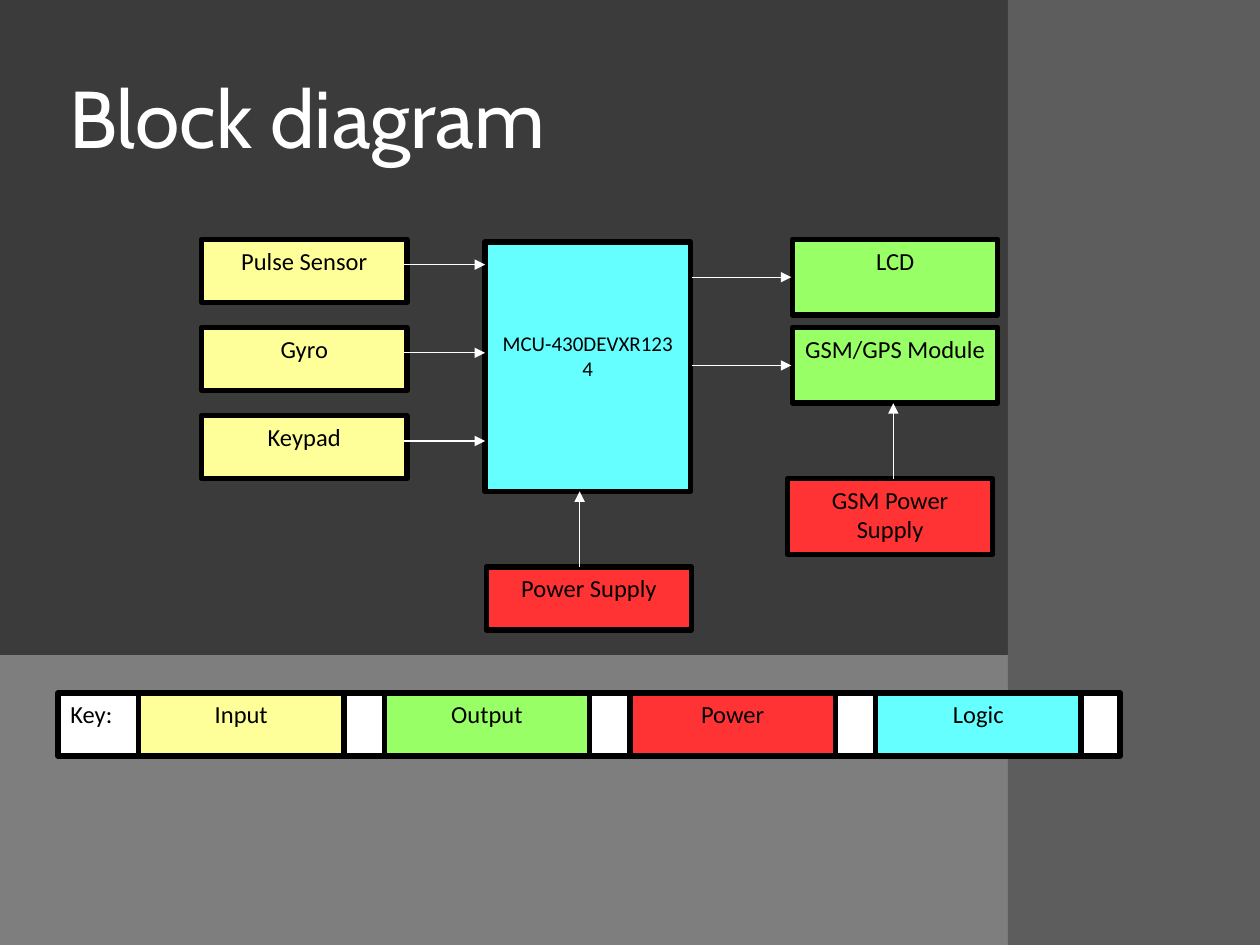
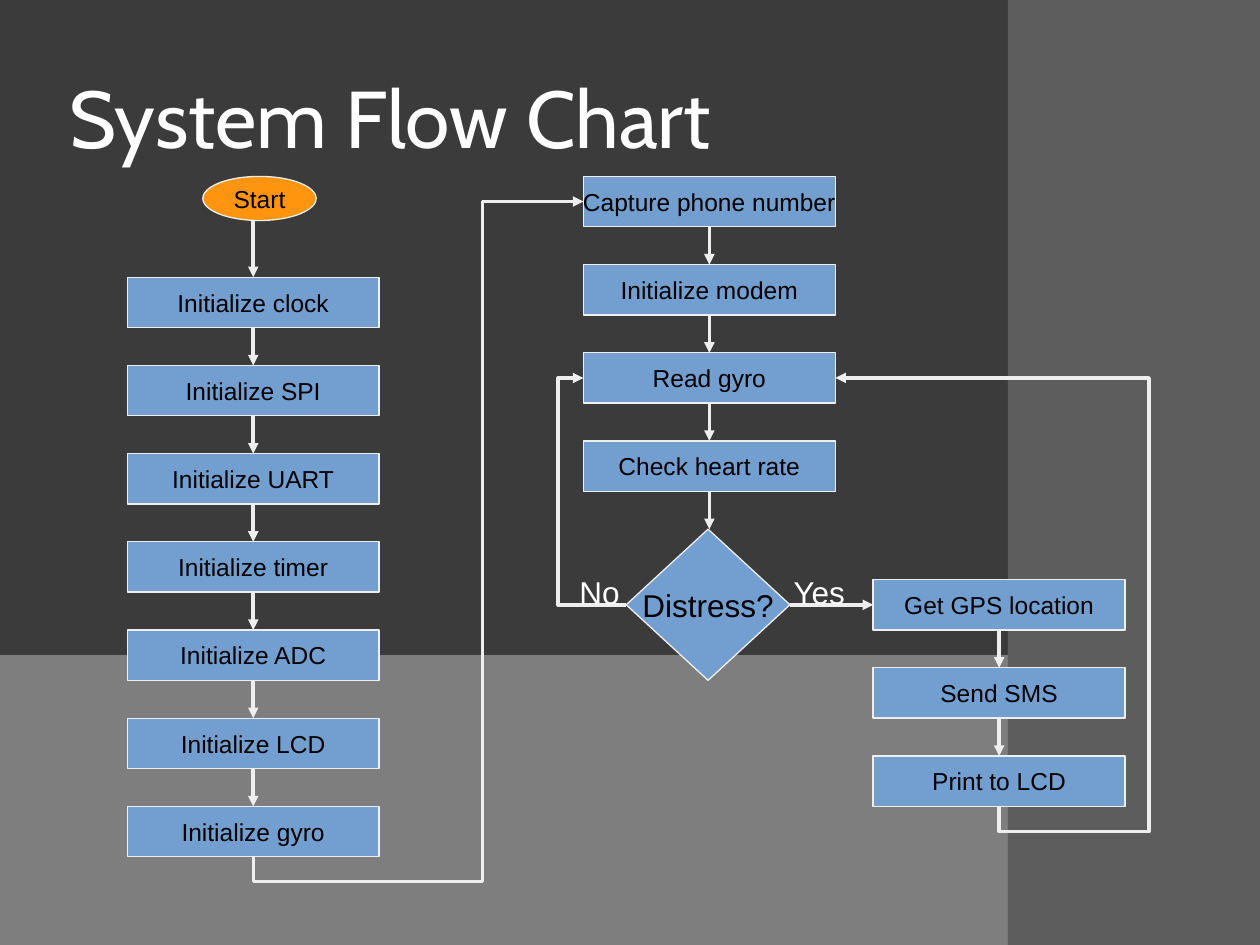
"""Build a block diagram slide and a system flow chart slide."""
from math import cos, radians, sin

from lxml import etree
from pptx import Presentation
from pptx.dml.color import RGBColor
from pptx.enum.shapes import MSO_CONNECTOR, MSO_SHAPE
from pptx.enum.text import MSO_ANCHOR, MSO_AUTO_SIZE, PP_ALIGN
from pptx.oxml.ns import qn
from pptx.util import Inches, Pt

RECT, OVAL, DIAMOND = MSO_SHAPE.RECTANGLE, MSO_SHAPE.OVAL, MSO_SHAPE.DIAMOND
STRAIGHT, ELBOW = MSO_CONNECTOR.STRAIGHT, MSO_CONNECTOR.ELBOW
TOP, MIDDLE = MSO_ANCHOR.TOP, MSO_ANCHOR.MIDDLE
LEFT, CENTER = PP_ALIGN.LEFT, PP_ALIGN.CENTER
NO_FIT, GROW = MSO_AUTO_SIZE.NONE, MSO_AUTO_SIZE.SHAPE_TO_FIT_TEXT

WIDTH, HEIGHT = 10, 7.5
BLACK, WHITE, PALE = "000000", "FFFFFF", "EEEEEE"
BACKGROUND = "3B3B3B"
BANDS = [((0, 5.2, WIDTH, 2.3), "7E7E7E"), ((8, 0, 2, HEIGHT), "5D5D5D")]
TITLE_BOX = (0.5, 0.3, 8.17, 1.25)
INPUT, OUTPUT, POWER, LOGIC = "FFFF99", "99FF66", "FF3333", "66FFFF"
STEP, START = "729FCF", "FF950E"

BLOCK_W, ROW = 1.63, 0.7
BLOCKS = [
    ("Pulse Sensor", 1.6, 1.9, 0.5, INPUT),
    ("Gyro", 1.6, 1.9 + ROW, 0.5, INPUT),
    ("Keypad", 1.6, 1.9 + 2 * ROW, 0.5, INPUT),
    ("LCD", 6.29, 1.9, 0.6, OUTPUT),
    ("GSM/GPS Module", 6.29, 1.9 + ROW, 0.6, OUTPUT),
    ("Power Supply", 3.86, 4.5, 0.5, POWER),
    ("GSM Power Supply", 6.25, 3.8, 0.6, POWER),
]
CONTROLLER = ("MCU-430DEVXR1234", (3.85, 1.92, BLOCK_W, 1.98))
BLOCK_ARROWS = (
    [((3.2, 2.1 + i * ROW), (3.85, 2.1 + i * ROW)) for i in range(3)]
    + [((5.49, 2.2 + i * ROW), (6.28, 2.2 + i * ROW)) for i in range(2)]
    + [((4.6, 4.5), (4.6, 3.9)), ((7.09, 3.8), (7.09, 3.2))]
)
KEY_BOX = (0.46, 5.5, 8.43, 0.5)
KEY_LEFT, KEY_PITCH = 1.1, 1.95
KEY = [("Input", INPUT), ("Output", OUTPUT), ("Power", POWER), ("Logic", LOGIC)]

STEP_W, STEP_H = 2, 0.4
CHAINS = [
    (1.01, 2.2, ["Initialize clock", "Initialize SPI", "Initialize UART",
                 "Initialize timer", "Initialize ADC", "Initialize LCD",
                 "Initialize gyro"]),
    (4.63, 1.4, ["Capture phone number", "Initialize modem", "Read gyro",
                 "Check heart rate"]),
    (6.93, 4.6, ["Get GPS location", "Send SMS", "Print to LCD"]),
]
START_BOX = (1.61, 1.4, 0.9, 0.35)
DECISION_BOX = (4.97, 4.2, 1.3, 1.2)
FLOW_ARROWS = [((2.01, 1.75), (2.01, 2.2)), ((5.63, 3.9), (5.63, 4.2)),
               ((6.27, 4.8), (6.93, 4.8))]
ROUTES = [
    ((2.01, 6.8), (4.63, 1.6), (7, 3.83), 90),
    ((4.97, 4.8), (4.63, 3), (4.43,), 180),
    ((7.93, 6.4), (6.63, 3), (6.6, 9.12), 270),
]
ANSWERS = [("Yes", 6.2), ("No", 4.5)]


def rgb(value):
    return RGBColor.from_string(value)


def inches(values):
    return [Inches(v) for v in values]


def write(tf, text, size, font, color, align=LEFT, anchor=TOP, wrap=True,
          fit=NO_FIT):
    tf.word_wrap, tf.auto_size, tf.vertical_anchor = wrap, fit, anchor
    p = tf.paragraphs[0]
    p.alignment = align
    r = p.add_run()
    r.text = text
    r.font.size, r.font.name = Pt(size), font
    r.font.color.rgb = rgb(color)


def add_box(s, box, fill, line=None, width=0, kind=RECT):
    sp = s.shapes.add_shape(kind, *inches(box))
    sp.shadow.inherit = False
    sp.fill.solid()
    sp.fill.fore_color.rgb = rgb(fill)
    if line:
        sp.line.color.rgb = rgb(line)
        sp.line.width = Pt(width)
    else:
        sp.line.fill.background()
    return sp


def add_block(s, text, box, fill, size=14, align=CENTER):
    sp = add_box(s, box, fill, BLACK, 3)
    write(sp.text_frame, text, size, "Calibri", BLACK, align)
    return sp


def add_step(s, text, box, fill=STEP, size=14, kind=RECT):
    sp = add_box(s, box, fill, PALE, 0, kind)
    write(sp.text_frame, text, size, "Arial", BLACK, CENTER, MIDDLE, False)


def add_arrow(s, start, end, color, width, kind=STRAIGHT):
    c = s.shapes.add_connector(kind, *inches(start + end))
    c.line.color.rgb = rgb(color)
    c.line.width = Pt(width)
    etree.SubElement(c.line._get_or_add_ln(), qn("a:tailEnd"), type="triangle")
    etree.SubElement(c.element.spPr, qn("a:effectLst"))
    return c


def add_route(s, start, end, bends, turn):
    dx, dy = end[0] - start[0], end[1] - start[1]
    mx, my = (start[0] + end[0]) / 2, (start[1] + end[1]) / 2
    co, si = round(cos(radians(turn))), round(sin(radians(turn)))
    hx, hy = (dx * co + dy * si) / 2, (dy * co - dx * si) / 2
    c = add_arrow(s, (mx - hx, my - hy), (mx + hx, my + hy), PALE, 0, ELBOW)
    spPr = c.element.spPr
    spPr.find(qn("a:xfrm")).set("rot", str(turn * 60000))
    geom = spPr.find(qn("a:prstGeom"))
    geom.set("prst", f"bentConnector{len(bends) + 2}")
    guides = geom.find(qn("a:avLst"))
    for i, bend in enumerate(bends):
        axis = (i + (turn % 180 != 0)) % 2
        share = (bend - start[axis]) / (dx, dy)[axis]
        etree.SubElement(guides, qn("a:gd"), name=f"adj{i + 1}",
                         fmla=f"val {round(share * 100000)}")


def style_master(prs, s):
    master = prs.slide_master
    master.background.fill.solid()
    master.background.fill.fore_color.rgb = rgb(BACKGROUND)
    for i, (box, fill) in enumerate(BANDS):
        master.shapes.element.insert(2 + i, add_box(s, box, fill).element)


def add_slide(prs, title):
    s = prs.slides.add_slide(prs.slide_layouts[5])
    sp = s.shapes.title
    sp.left, sp.top, sp.width, sp.height = inches(TITLE_BOX)
    tf = sp.text_frame
    tf.margin_left = tf.margin_right = Inches(0.05)
    tf.margin_top = tf.margin_bottom = Inches(0.05)
    write(tf, title, 46, "Cabin", WHITE, anchor=MIDDLE)
    return s


def block_diagram(s):
    name, box = CONTROLLER
    controller = add_block(s, name, box, LOGIC, 12)
    controller.text_frame.margin_top = Inches(0.7)
    for text, x, y, h, fill in BLOCKS:
        add_block(s, text, (x, y, BLOCK_W, h), fill)
    for start, end in BLOCK_ARROWS:
        add_arrow(s, start, end, WHITE, 0.75)
    add_block(s, "Key:", KEY_BOX, WHITE, align=LEFT)
    for i, (text, fill) in enumerate(KEY):
        x = KEY_LEFT + i * KEY_PITCH
        add_block(s, text, (x, KEY_BOX[1], BLOCK_W, KEY_BOX[3]), fill)


def flow_chart(s):
    add_step(s, "Start", START_BOX, START, kind=OVAL)
    add_step(s, "Distress?", DECISION_BOX, size=18, kind=DIAMOND)
    for x, top, steps in CHAINS:
        mid = x + STEP_W / 2
        for i, text in enumerate(steps):
            y = top + i * ROW
            add_step(s, text, (x, y, STEP_W, STEP_H))
            if i:
                add_arrow(s, (mid, y - ROW + STEP_H), (mid, y), PALE, 0)
    for start, end in FLOW_ARROWS:
        add_arrow(s, start, end, PALE, 0)
    for route in ROUTES:
        add_route(s, *route)
    for text, x in ANSWERS:
        sp = s.shapes.add_textbox(*inches((x, 4.5, 0.7, 0.38)))
        write(sp.text_frame, text, 18, "Arial", WHITE, fit=GROW)


def main():
    prs = Presentation()
    prs.slide_width, prs.slide_height = inches((WIDTH, HEIGHT))
    s = add_slide(prs, "Block diagram")
    style_master(prs, s)
    block_diagram(s)
    flow_chart(add_slide(prs, "System Flow Chart"))
    prs.save("out.pptx")


if __name__ == "__main__":
    main()
